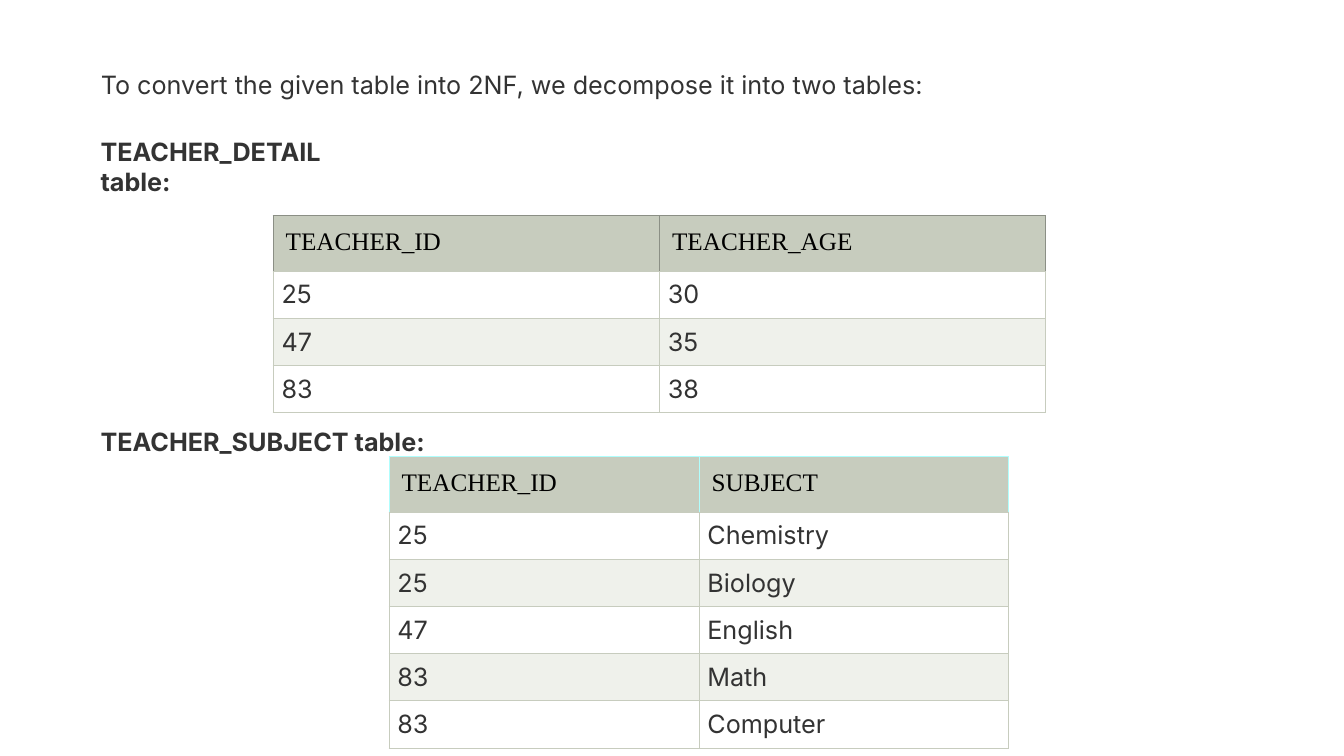
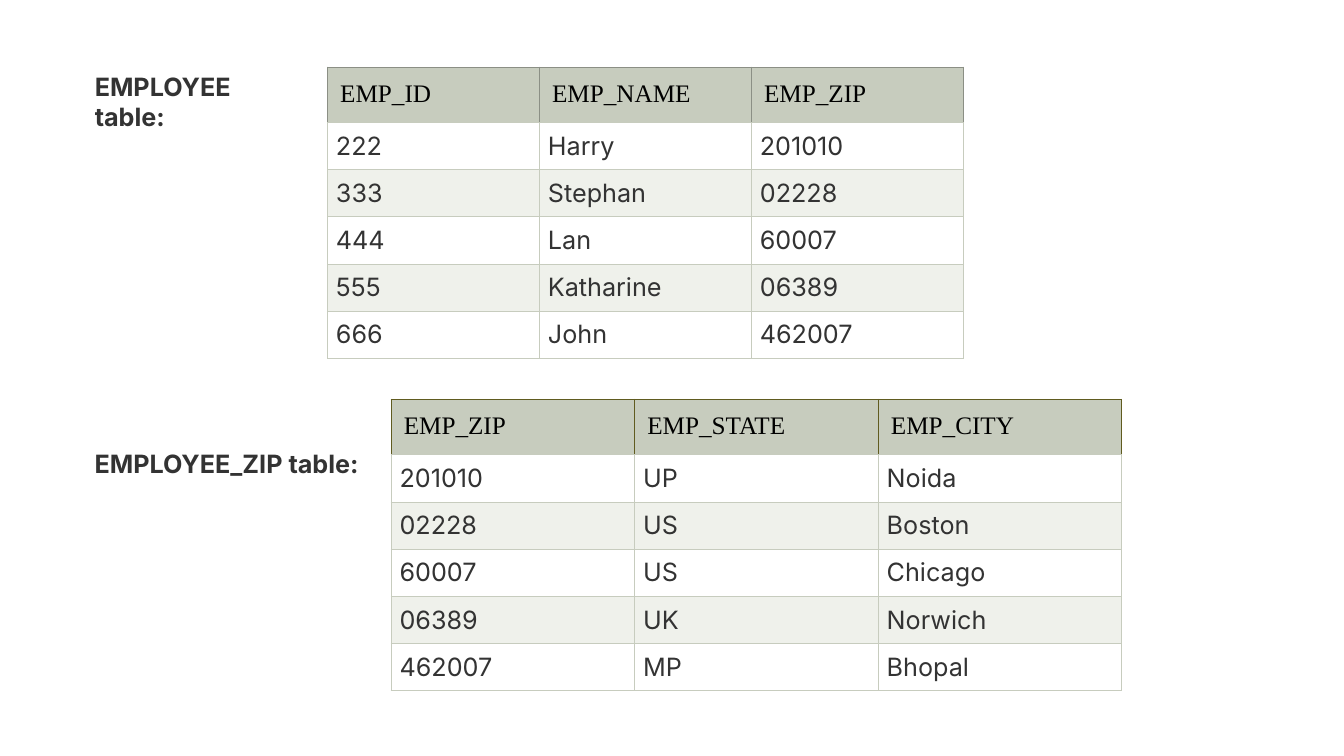
from dataclasses import dataclass

from lxml.etree import SubElement
from pptx import Presentation
from pptx.dml.color import RGBColor
from pptx.enum.text import MSO_ANCHOR, MSO_AUTO_SIZE, PP_ALIGN
from pptx.oxml.ns import qn
from pptx.presentation import Presentation as Deck
from pptx.shapes.base import BaseShape
from pptx.slide import Slide
from pptx.table import _Cell as Cell
from pptx.text.text import _Paragraph as Paragraph
from pptx.util import Pt


@dataclass(frozen=True)
class Theme:
    text: str = "333333"
    header_text: str = "000000"
    header_fill: str = "C7CCBE"
    border: str = "C7CCBE"
    row_fills: tuple[str, str] = ("FFFFFF", "EFF1EB")
    body_font: str = "Inter"
    header_font: str = "Times New Roman"
    size: float = 18
    border_width: float = 0.75
    header_height: float = 39.6
    row_height: float = 33.6
    header_margin: float = 9
    cell_margin: float = 6


@dataclass(frozen=True)
class Label:
    text: str
    left: float
    top: float
    width: float
    height: float = 29
    bold: bool = True


@dataclass(frozen=True)
class DataTable:
    left: float
    top: float
    width: float
    header_border: str
    rows: tuple[tuple[str, ...], ...]


@dataclass(frozen=True)
class Page:
    title: Label
    labels: tuple[Label, ...]
    tables: tuple[DataTable, ...]


THEME = Theme()

PAGES = (
    Page(
        title=Label("To convert the given table into 2NF, we decompose it into two tables:",
                    64.8, 46, 621.4, bold=False),
        labels=(
            Label("TEACHER_DETAIL table:", 64.8, 93.6, 190.8, 51),
            Label("TEACHER_SUBJECT table:", 64.8, 301, 480),
        ),
        tables=(
            DataTable(195.1, 154.1, 552, "8B8F85", (
                ("TEACHER_ID", "TEACHER_AGE"),
                ("25", "30"),
                ("47", "35"),
                ("83", "38"),
            )),
            DataTable(277.9, 326.2, 442.8, "B0FEFD", (
                ("TEACHER_ID", "SUBJECT"),
                ("25", "Chemistry"),
                ("25", "Biology"),
                ("47", "English"),
                ("83", "Math"),
                ("83", "Computer"),
            )),
        ),
    ),
    Page(
        title=Label("EMPLOYEE table:", 60.5, 47.5, 165),
        labels=(Label("EMPLOYEE_ZIP table:", 60.5, 316.8, 210),),
        tables=(
            DataTable(234, 47.9, 454.2, "8B8F85", (
                ("EMP_ID", "EMP_NAME", "EMP_ZIP"),
                ("222", "Harry", "201010"),
                ("333", "Stephan", "02228"),
                ("444", "Lan", "60007"),
                ("555", "Katharine", "06389"),
                ("666", "John", "462007"),
            )),
            DataTable(279.4, 285.3, 522, "605B1F", (
                ("EMP_ZIP", "EMP_STATE", "EMP_CITY"),
                ("201010", "UP", "Noida"),
                ("02228", "US", "Boston"),
                ("60007", "US", "Chicago"),
                ("06389", "UK", "Norwich"),
                ("462007", "MP", "Bhopal"),
            )),
        ),
    ),
)


def format_runs(para: Paragraph, font: str, color: str, bold: bool = False) -> None:
    for span in para.runs:
        span.font.name = font
        span.font.size = Pt(THEME.size)
        span.font.bold = bold
        span.font.color.rgb = RGBColor.from_string(color)


def fill_label(box: BaseShape, label: Label) -> None:
    box.left, box.top = Pt(label.left), Pt(label.top)
    box.width, box.height = Pt(label.width), Pt(label.height)
    frame = box.text_frame
    frame.text = label.text
    frame.word_wrap = True
    frame.auto_size = MSO_AUTO_SIZE.NONE
    frame.vertical_anchor = MSO_ANCHOR.TOP
    para = frame.paragraphs[0]
    para.alignment = PP_ALIGN.LEFT
    format_runs(para, THEME.body_font, THEME.text, label.bold)


def add_label(slide: Slide, label: Label) -> None:
    box = slide.shapes.add_textbox(
        Pt(label.left), Pt(label.top), Pt(label.width), Pt(label.height))
    fill_label(box, label)


def set_borders(cell: Cell, sides: str, bottom: str) -> None:
    """Draw the left, right and top edges in one colour and the bottom in another."""
    properties = cell._tc.get_or_add_tcPr()
    for edge, color in (("L", sides), ("R", sides), ("T", sides), ("B", bottom)):
        line = SubElement(properties, qn(f"a:ln{edge}"), w=str(Pt(THEME.border_width)))
        SubElement(SubElement(line, qn("a:solidFill")), qn("a:srgbClr"), val=color)


def fill_cell(cell: Cell, text: str, row_index: int, header_border: str) -> None:
    is_header = row_index == 0
    margin = Pt(THEME.header_margin if is_header else THEME.cell_margin)
    cell.margin_left = cell.margin_right = margin
    cell.margin_top = cell.margin_bottom = margin
    set_borders(cell, header_border if is_header else THEME.border, THEME.border)
    fill = THEME.header_fill if is_header else THEME.row_fills[(row_index - 1) % 2]
    cell.fill.solid()
    cell.fill.fore_color.rgb = RGBColor.from_string(fill)
    cell.text_frame.text = text
    para = cell.text_frame.paragraphs[0]
    if is_header:
        format_runs(para, THEME.header_font, THEME.header_text)
    else:
        para.alignment = PP_ALIGN.JUSTIFY
        format_runs(para, THEME.body_font, THEME.text)


def add_data_table(slide: Slide, data: DataTable) -> None:
    row_count, column_count = len(data.rows), len(data.rows[0])
    height = THEME.header_height + (row_count - 1) * THEME.row_height
    table = slide.shapes.add_table(
        row_count, column_count,
        Pt(data.left), Pt(data.top), Pt(data.width), Pt(height)).table
    table.horz_banding = False
    table.first_row = False
    for column in table.columns:
        column.width = Pt(data.width / column_count)
    for row_index, texts in enumerate(data.rows):
        table.rows[row_index].height = Pt(
            THEME.row_height if row_index else THEME.header_height)
        for column_index, text in enumerate(texts):
            fill_cell(table.cell(row_index, column_index), text, row_index,
                      data.header_border)


def add_page(deck: Deck, page: Page) -> None:
    title_only = deck.slide_layouts.get_by_name("Title Only")
    slide = deck.slides.add_slide(title_only)
    fill_label(slide.shapes.title, page.title)
    for label in page.labels:
        add_label(slide, label)
    for data in page.tables:
        add_data_table(slide, data)


def main() -> None:
    deck = Presentation()
    deck.slide_width, deck.slide_height = Pt(960), Pt(540)
    for page in PAGES:
        add_page(deck, page)
    deck.save("out.pptx")


if __name__ == "__main__":
    main()
